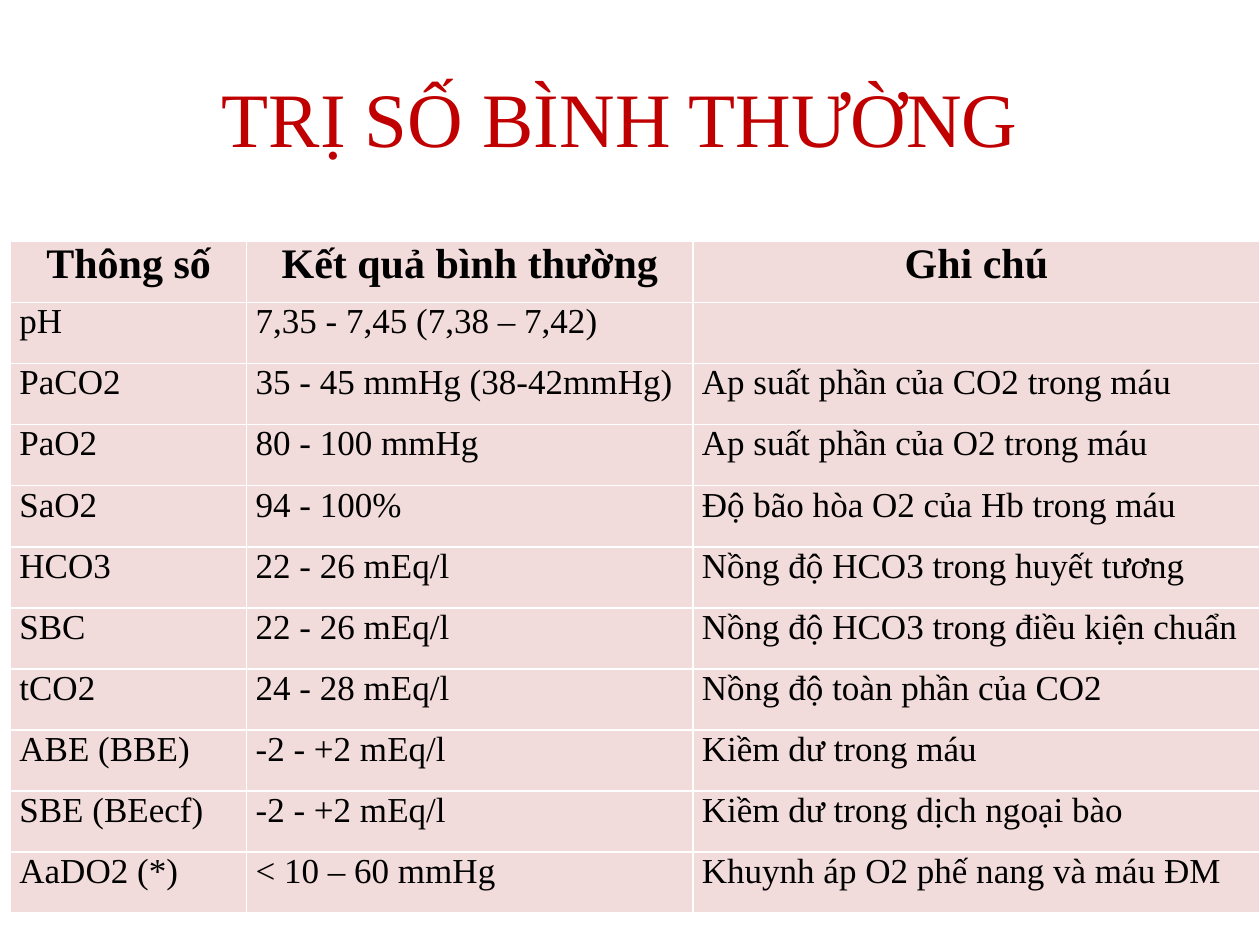
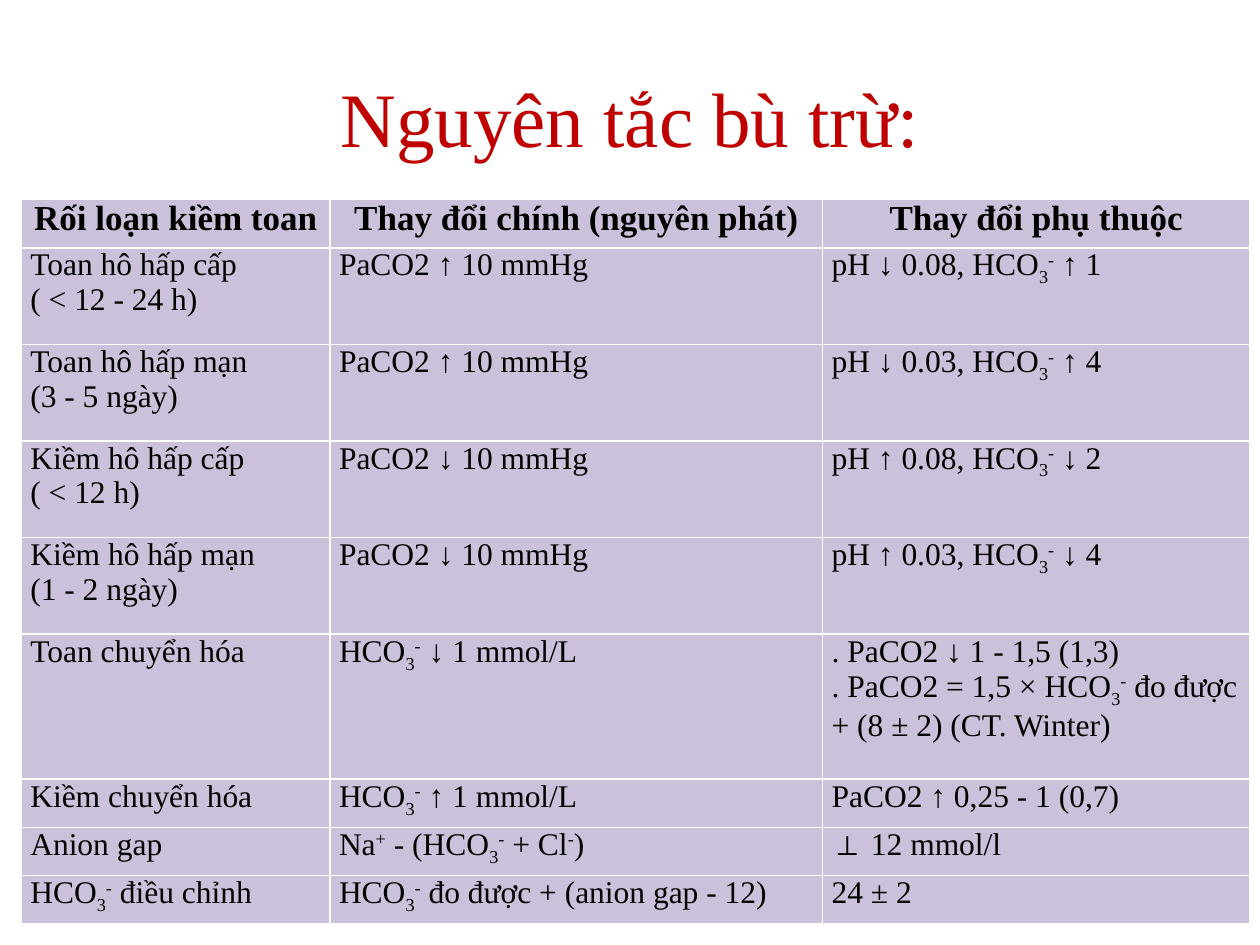
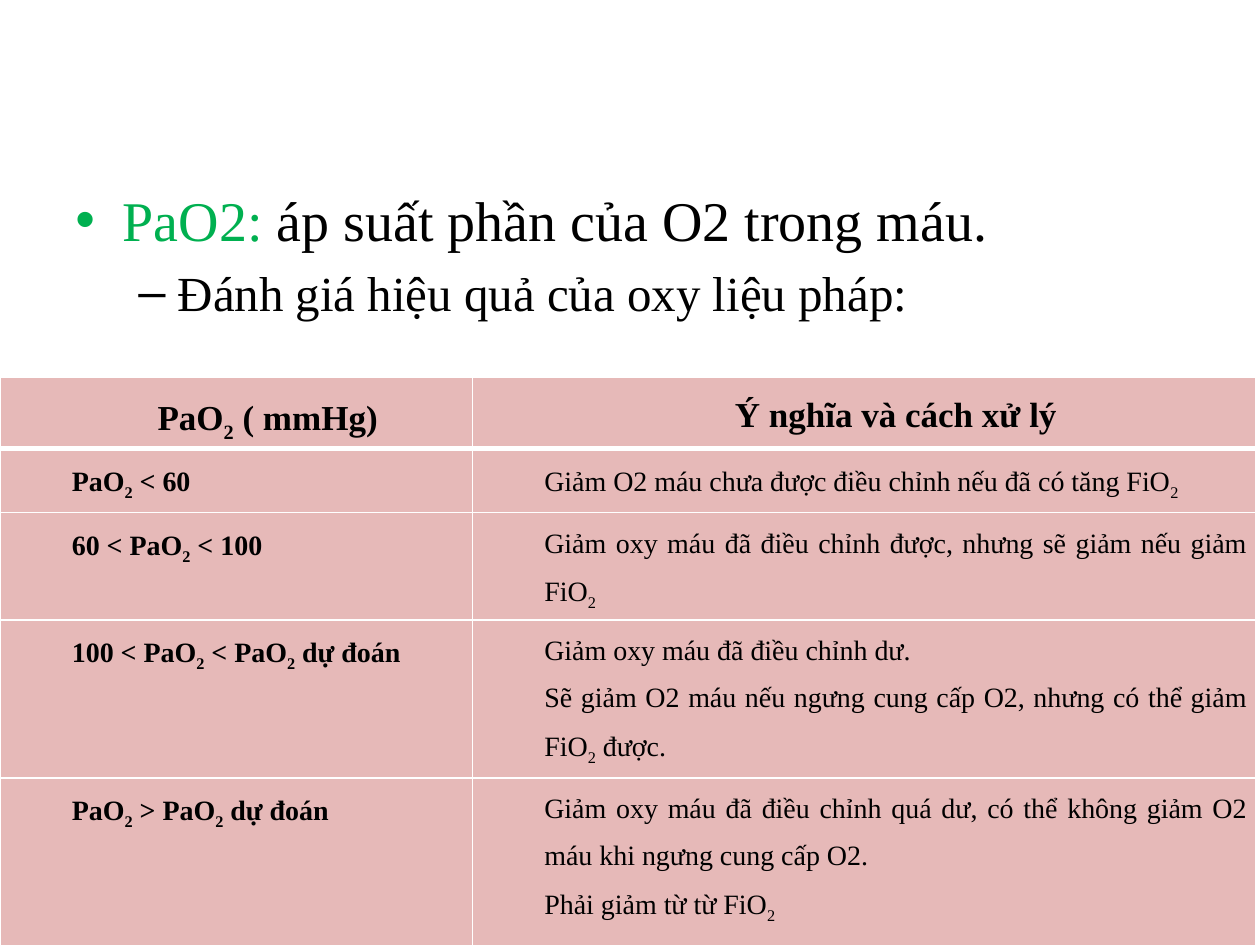
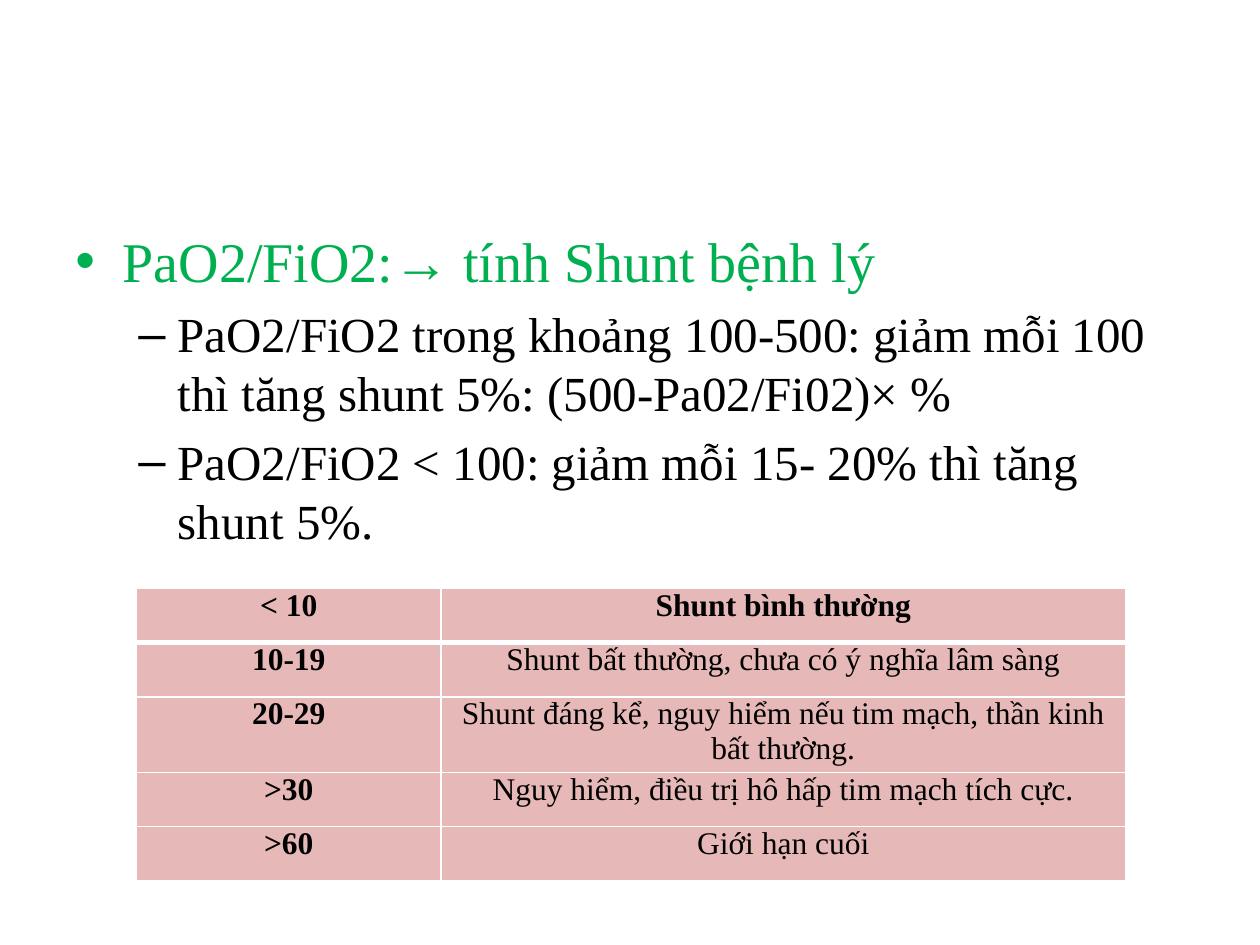
from lxml.etree import SubElement
from pptx import Presentation
from pptx.dml.color import RGBColor
from pptx.enum.text import MSO_ANCHOR as Anchor, PP_ALIGN as Align
from pptx.oxml.ns import qn
from pptx.util import Pt

FONT = "Times New Roman"
BLACK = RGBColor(0x00, 0x00, 0x00)
WHITE = RGBColor(0xFF, 0xFF, 0xFF)
TITLE_RED = RGBColor(0xC0, 0x00, 0x00)
LEAD_GREEN = RGBColor(0x00, 0xB0, 0x50)
PALE_PINK = RGBColor(0xF2, 0xDC, 0xDB)
LILAC = RGBColor(0xCC, 0xC1, 0xDA)
ROSE = RGBColor(0xE6, 0xB9, 0xB8)
BASELINES = {"_": "-25000", "^": "30000"}


def write(para, text, size, color=BLACK, bold=False):
    """Fill a paragraph; {_x} is a subscript and {^x} a superscript."""
    para.font.name, para.font.size, para.font.bold = FONT, Pt(size), bold
    para.font.color.rgb = color
    for index, part in enumerate(text.replace("}", "{").split("{")):
        if not part:
            continue
        span = para.add_run()
        if index % 2:
            span.text = part[1:]
            span._r.get_or_add_rPr().set("baseline", BASELINES[part[0]])
        else:
            span.text = part


def add_grid(page, left, top, widths, heights, rows, fill, head_size, size,
             align=Align.LEFT, bold_column=False, indent=0, spacing=None, head_line=1):
    """Add a table with white rules; a newline in a cell starts a paragraph."""
    table = page.shapes.add_table(len(rows), len(widths), Pt(left), Pt(top),
                                  Pt(sum(widths)), Pt(sum(heights))).table
    table.horz_banding = False
    for column, width in zip(table.columns, widths):
        column.width = Pt(width)
    for row, height in zip(table.rows, heights):
        row.height = Pt(height)
    for r, texts in enumerate(rows):
        for c, text in enumerate(texts):
            cell = table.cell(r, c)
            cell.margin_left = cell.margin_right = Pt(5.1)
            cell.margin_top = cell.margin_bottom = 0
            # Borders come before the fill in the cell properties
            for side in ("L", "R", "T", "B"):
                thick = (r, side) in ((0, "B"), (1, "T"))
                line = SubElement(cell._tc.get_or_add_tcPr(), qn(f"a:ln{side}"),
                                  w=str(Pt(head_line if thick else 1)))
                paint = SubElement(line, qn("a:solidFill"))
                SubElement(paint, qn("a:srgbClr"), val=str(WHITE))
            cell.fill.solid()
            cell.fill.fore_color.rgb = fill
            for number, line_text in enumerate(text.split("\n")):
                frame = cell.text_frame
                para = frame.add_paragraph() if number else frame.paragraphs[0]
                para.alignment = align if r else Align.CENTER
                if indent:
                    para._p.get_or_add_pPr().set("marL", str(Pt(indent)))
                if spacing:
                    para.line_spacing = spacing
                write(para, line_text, size if r else head_size,
                      bold=r == 0 or (bold_column and c == 0))


deck = Presentation()
deck.slide_width, deck.slide_height = Pt(720), Pt(540)
pages = [deck.slides.add_slide(deck.slide_layouts[6]) for _ in range(4)]
values_page, compensation_page, oxygen_page, shunt_page = pages

# Titles
for page, title in ((values_page, "TRỊ SỐ BÌNH THƯỜNG "),
                    (compensation_page, "Nguyên tắc bù trừ:")):
    box = page.shapes.add_textbox(Pt(36), Pt(21.6), Pt(648), Pt(90))
    box.text_frame.word_wrap = True
    box.text_frame.vertical_anchor = Anchor.MIDDLE
    box.text_frame.paragraphs[0].alignment = Align.CENTER
    write(box.text_frame.paragraphs[0], title, 44, TITLE_RED)

# Bulleted text: level, coloured lead, black rest
bodies = [
    (oxygen_page, 102.24, [
        (0, "PaO2: ", "áp suất phần của O2 trong máu."),
        (1, "", "Đánh giá hiệu quả của oxy liệu pháp:")]),
    (shunt_page, 126, [
        (0, "PaO2/FiO2:→ tính Shunt bệnh lý", ""),
        (1, "", "PaO2/FiO2 trong khoảng 100-500: giảm mỗi 100 thì tăng shunt 5%: "
                "(500-Pa02/Fi02)× %"),
        (1, "", "PaO2/FiO2 < 100: giảm mỗi 15- 20% thì tăng shunt 5%.")]),
]
# Margin, hanging indent, bullet, size and colour of each level
levels = [(27, -27, "•", 32, LEAD_GREEN), (58.5, -22.5, "–", 28, BLACK)]
for page, top, items in bodies:
    box = page.shapes.add_textbox(Pt(36), Pt(top), Pt(648), Pt(356.4))
    frame = box.text_frame
    frame.word_wrap = True
    for number, (level, lead, rest) in enumerate(items):
        margin, hanging, bullet, size, color = levels[level]
        para = frame.add_paragraph() if number else frame.paragraphs[0]
        para.level = level
        if number:
            para.space_before = Pt(size * 0.2)
        props = para._p.get_or_add_pPr()
        props.set("marL", str(Pt(margin)))
        props.set("indent", str(Pt(hanging)))
        tint = SubElement(props, qn("a:buClr"))
        SubElement(tint, qn("a:srgbClr"), val=str(color))
        SubElement(props, qn("a:buFont"), typeface="Arial")
        SubElement(props, qn("a:buChar"), char=bullet)
        write(para, lead, size, color)
        if rest:
            span = para.add_run()
            span.text = rest
            span.font.color.rgb = BLACK

# Normal values
normal_values = [
    ("Thông số", "Kết quả bình thường", "Ghi chú"),
    ("pH", "7,35 - 7,45 (7,38 – 7,42)", ""),
    ("PaCO2", "35 - 45 mmHg (38-42mmHg)", "Ap suất phần của CO2 trong máu"),
    ("PaO2", "80 - 100 mmHg", "Ap suất phần của O2 trong máu"),
    ("SaO2", "94 - 100%", "Độ bão hòa O2 của Hb trong máu"),
    ("HCO3", "22 - 26 mEq/l", "Nồng độ HCO3 trong huyết tương"),
    ("SBC", "22 - 26 mEq/l", "Nồng độ HCO3 trong điều kiện chuẩn"),
    ("tCO2", "24 - 28 mEq/l", "Nồng độ toàn phần của CO2"),
    ("ABE (BBE)", "-2 - +2 mEq/l", "Kiềm dư trong máu"),
    ("SBE (BEecf)", "-2 - +2 mEq/l", "Kiềm dư trong dịch ngoại bào"),
    ("AaDO2 (*)", "< 10 – 60 mmHg", "Khuynh áp O2 phế nang và máu ĐM"),
]
add_grid(values_page, 6, 138, [135, 255, 324], [34.9] * 11, normal_values,
         PALE_PINK, 24, 20)

# Compensation rules
compensation = [
    ("Rối loạn kiềm toan", "Thay đổi chính (nguyên phát)", "Thay đổi phụ thuộc"),
    ("Toan hô hấp cấp\n( < 12 - 24 h)", "PaCO2 ↑ 10 mmHg",
     "pH ↓ 0.08, HCO{_3}{^-} ↑ 1"),
    ("Toan hô hấp mạn\n(3 - 5 ngày)", "PaCO2 ↑ 10 mmHg",
     "pH ↓ 0.03, HCO{_3}{^-} ↑ 4"),
    ("Kiềm hô hấp cấp\n( < 12 h)", "PaCO2 ↓ 10 mmHg",
     "pH ↑ 0.08, HCO{_3}{^-} ↓ 2"),
    ("Kiềm hô hấp mạn\n(1 - 2 ngày)", "PaCO2 ↓ 10 mmHg",
     "pH ↑ 0.03, HCO{_3}{^-} ↓ 4"),
    ("Toan chuyển hóa", "HCO{_3}{^-} ↓ 1 mmol/L",
     ". PaCO2 ↓ 1 - 1,5 (1,3)\n"
     ". PaCO2 = 1,5 × HCO{_3}{^-} đo được + (8 ± 2) (CT. Winter)"),
    ("Kiềm chuyển hóa", "HCO{_3}{^-} ↑ 1 mmol/L", "PaCO2 ↑ 0,25 - 1 (0,7)"),
    ("Anion gap", "Na{^+} - (HCO{_3}{^-} + Cl{^-})", "⊥ 12 mmol/l"),
    ("HCO{_3}{^-} điều chỉnh", "HCO{_3}{^-} đo được + (anion gap - 12)", "24 ± 2"),
]
add_grid(compensation_page, 12.24, 114, [176.4, 281.5, 244.1],
         [27.6] + [55.2] * 4 + [82.8] + [27.6] * 3, compensation, LILAC, 20, 18)

# Meaning of PaO2 under oxygen therapy
oxygen_therapy = [
    ("PaO{_2} ( mmHg)", "Ý nghĩa và cách xử lý"),
    ("PaO{_2} < 60", "Giảm O2 máu chưa được điều chỉnh nếu đã có tăng FiO{_2}"),
    ("60 < PaO{_2} < 100",
     "Giảm oxy máu đã điều chỉnh được, nhưng sẽ giảm nếu giảm FiO{_2}"),
    ("100 < PaO{_2} < PaO{_2} dự đoán",
     "Giảm oxy máu đã điều chỉnh dư.\n"
     "Sẽ giảm O2 máu nếu ngưng cung cấp O2, nhưng có thể giảm FiO{_2} được."),
    ("PaO{_2} > PaO{_2} dự đoán",
     "Giảm oxy máu đã điều chỉnh quá dư, có thể không giảm O2 máu khi ngưng cung cấp O2.\n"
     "Phải giảm từ từ FiO{_2}"),
]
add_grid(oxygen_page, 0, 215.28, [270, 447.84], [36.6, 36.6, 36.6, 73.2, 109.8],
         oxygen_therapy, ROSE, 20, 16, Align.JUSTIFY, bold_column=True,
         indent=36, spacing=1.5, head_line=3)

# Shunt grades
shunt_grades = [
    ("< 10", "Shunt bình thường"),
    ("10-19", "Shunt bất thường, chưa có ý nghĩa lâm sàng"),
    ("20-29", "Shunt đáng kể, nguy hiểm nếu tim mạch, thần kinh bất thường."),
    (">30", "Nguy hiểm, điều trị hô hấp tim mạch tích cực."),
    (">60", "Giới hạn cuối"),
]
add_grid(shunt_page, 78, 336.24, [174, 391.2], [31] * 5, shunt_grades, ROSE, 18, 18,
         Align.CENTER, bold_column=True, head_line=3)

deck.save("out.pptx")
